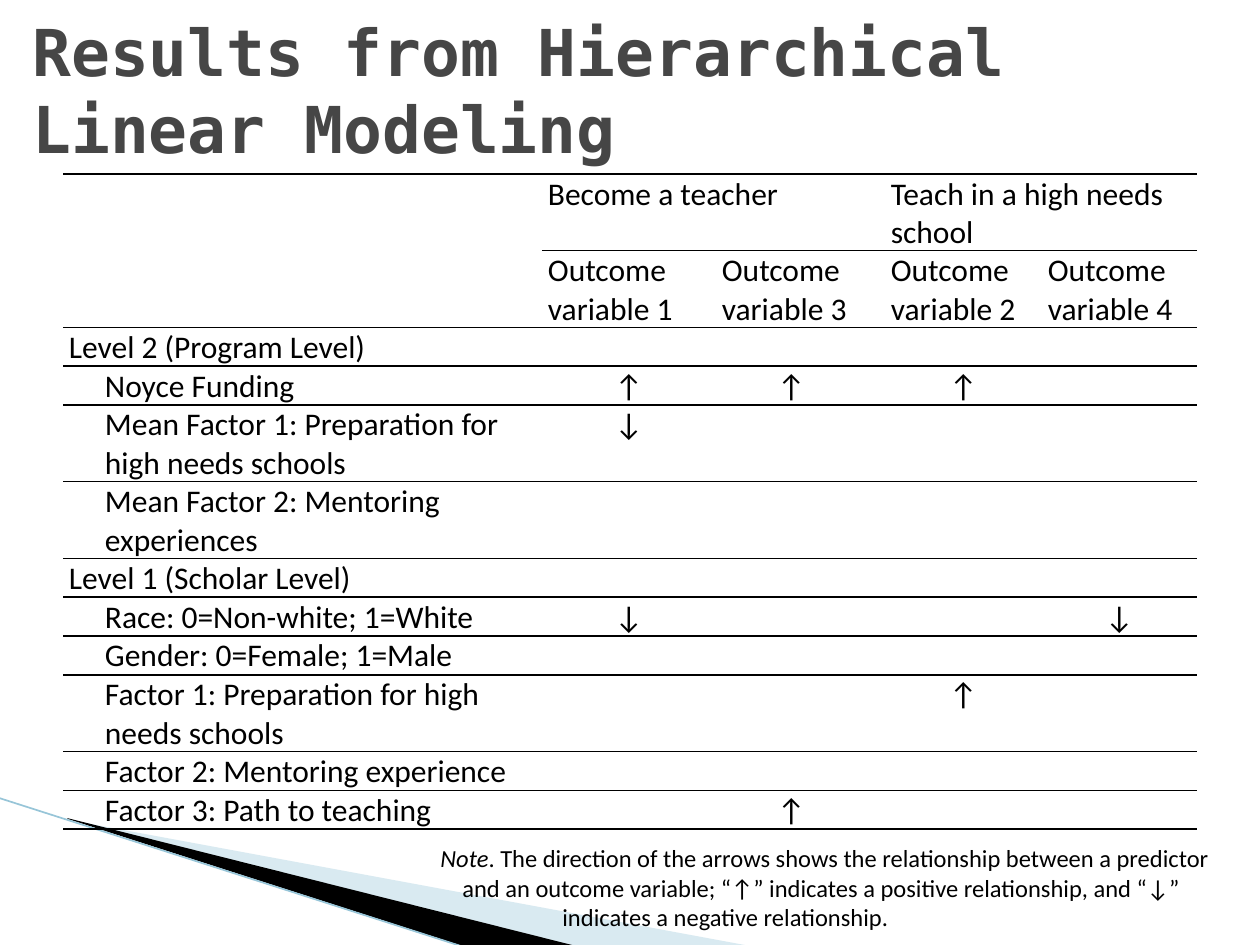
from lxml.etree import SubElement
from pptx import Presentation
from pptx.dml.color import RGBColor
from pptx.enum.shapes import MSO_CONNECTOR as Connector
from pptx.enum.text import MSO_ANCHOR as Anchor, PP_ALIGN as Align
from pptx.oxml.ns import qn
from pptx.util import Pt

SCALE = 914400 / 126
WIDTH, HEIGHT = 1260, 945
BLACK = "000000"

COLUMNS = [479, 174, 151, 18, 157, 155]
LINE_HEIGHT = 38
INDENT = 36
HEADERS = [
    ["", "Become a teacher", "", "", "Teach in a high needs school", ""],
    ["", "Outcome variable 1", "Outcome variable 3", "",
     "Outcome variable 2", "Outcome variable 4"],
]
EFFECTS = [
    ("Level 2 (Program Level)", {}),
    ("Noyce Funding", {1: "↑", 2: "↑", 4: "↑"}),
    ("Mean Factor 1: Preparation for\nhigh needs schools", {1: "↓"}),
    ("Mean Factor 2: Mentoring\nexperiences", {}),
    ("Level 1 (Scholar Level)", {}),
    ("Race: 0=Non-white; 1=White", {1: "↓", 5: "↓"}),
    ("Gender: 0=Female; 1=Male", {}),
    ("Factor 1: Preparation for high\nneeds schools", {4: "↑"}),
    ("Factor 2: Mentoring experience", {}),
    ("Factor 3: Path to teaching", {2: "↑"}),
]
NOTE = [
    (0, [("Note", True),
         (". The direction of the arrows shows the relationship between a predictor", False)]),
    (22, [("and an outcome variable; “↑” indicates a positive relationship, and “↓”", False)]),
    (122, [("indicates a negative relationship.", False)]),
]


def px(length):
    return round(length * SCALE)


def color(value):
    return RGBColor.from_string(value)


class SlideBuilder:
    title_font = {"name": "DejaVu Sans Mono", "size": Pt(36.9), "bold": True}
    table_font = {"name": "Calibri", "size": Pt(18), "bold": False}
    note_font = {"name": "Calibri", "size": Pt(14)}
    cell_margins = {"margin_left": px(6), "margin_right": px(6),
                    "margin_top": px(1), "margin_bottom": 0}

    def __init__(self, slide):
        self.slide = slide

    def style(self, font, values, fill=BLACK):
        for name, value in values.items():
            setattr(font, name, value)
        font.color.rgb = color(fill)

    def indent(self, para, length):
        if length:
            para._p.get_or_add_pPr().set("marL", str(px(length)))

    def polygon(self, points, fill, opacity=100):
        builder = self.slide.shapes.build_freeform(*points[0], scale=SCALE)
        builder.add_line_segments(points[1:], close=True)
        shape = builder.convert_to_shape()
        shape.shadow.inherit = False
        shape.fill.solid()
        shape.fill.fore_color.rgb = color(fill)
        shape.line.fill.background()
        if opacity < 100:
            tint = shape._element.spPr.find(qn("a:solidFill"))[0]
            SubElement(tint, qn("a:alpha"), val=str(opacity * 1000))

    def line(self, start, end, stroke, width):
        connector = self.slide.shapes.add_connector(
            Connector.STRAIGHT, *map(px, start + end))
        connector.line.color.rgb = color(stroke)
        connector.line.width = Pt(width)
        SubElement(connector._element.spPr, qn("a:effectLst"))

    def text(self, bounds, paragraphs, font, fill=BLACK, anchor=Anchor.TOP):
        box = self.slide.shapes.add_textbox(*map(px, bounds))
        frame = box.text_frame
        frame.word_wrap = True
        frame.vertical_anchor = anchor
        for number, (indent, spans) in enumerate(paragraphs):
            para = frame.add_paragraph() if number else frame.paragraphs[0]
            self.indent(para, indent)
            for words, italic in spans:
                span = para.add_run()
                span.text = words
                self.style(span.font, {**font, "italic": italic}, fill)

    def border(self, cell, edges):
        properties = cell._tc.get_or_add_tcPr()
        for side in "LRTB":
            edge = SubElement(properties, qn(f"a:ln{side}"), w=str(Pt(1)))
            if side in edges:
                paint = SubElement(edge, qn("a:solidFill"))
                SubElement(paint, qn("a:srgbClr"), val=BLACK)
            else:
                SubElement(edge, qn("a:noFill"))

    def cell(self, cell, words, edges, indent=0, align=Align.LEFT):
        for name, value in self.cell_margins.items():
            setattr(cell, name, value)
        cell.text = words
        for para in cell.text_frame.paragraphs:
            self.indent(para, indent)
            para.alignment = align
            self.style(para.font, self.table_font)
            for span in para.runs:
                self.style(span.font, self.table_font)
        self.border(cell, edges)
        cell.fill.background()

    def table(self, left, top):
        labels = [(label, [marks.get(column, "") for column in range(1, len(COLUMNS))])
                  for label, marks in EFFECTS]
        rows = HEADERS + [[label, *marks] for label, marks in labels]
        lines = [2] * len(HEADERS) + [label.count("\n") + 1 for label, _ in labels]
        table = self.slide.shapes.add_table(
            len(rows), len(COLUMNS), px(left), px(top),
            px(sum(COLUMNS)), px(sum(lines) * LINE_HEIGHT)).table
        table.first_row = table.horz_banding = False
        for column, width in zip(table.columns, COLUMNS):
            column.width = px(width)
        for row, count in zip(table.rows, lines):
            row.height = px(count * LINE_HEIGHT)
        for first in (1, 4):
            table.cell(0, first).merge(table.cell(0, first + 1))
        for r, row in enumerate(rows):
            for c, words in enumerate(row):
                edges = {(0, 0): "T", (1, 0): "B"}.get((r, c), "TB")
                is_effect = r >= len(HEADERS)
                is_nested = is_effect and c == 0 and not words.startswith("Level")
                align = Align.CENTER if is_effect and c else Align.LEFT
                self.cell(table.cell(r, c), words, edges,
                          INDENT if is_nested else 0, align)


def main():
    deck = Presentation()
    deck.slide_width, deck.slide_height = px(WIDTH), px(HEIGHT)
    page = SlideBuilder(deck.slides.add_slide(deck.slide_layouts[6]))
    page.polygon([(69, 820), (750, 946), (575, 946), (69, 819)], "A0CBDC", 40)
    page.polygon([(67, 818), (576, 946), (469, 948), (68, 819)], BLACK)
    page.line((-1, 798), (467, 948), "97C5D8", 0.95)
    page.text((20, 10, 1221, 158),
              [(0, [("Results from Hierarchical Linear Modeling", False)])],
              page.title_font, "464646", Anchor.MIDDLE)
    page.text((428, 837, 891, 142), NOTE, page.note_font)
    page.table(63, 174)
    deck.save("out.pptx")


if __name__ == "__main__":
    main()
